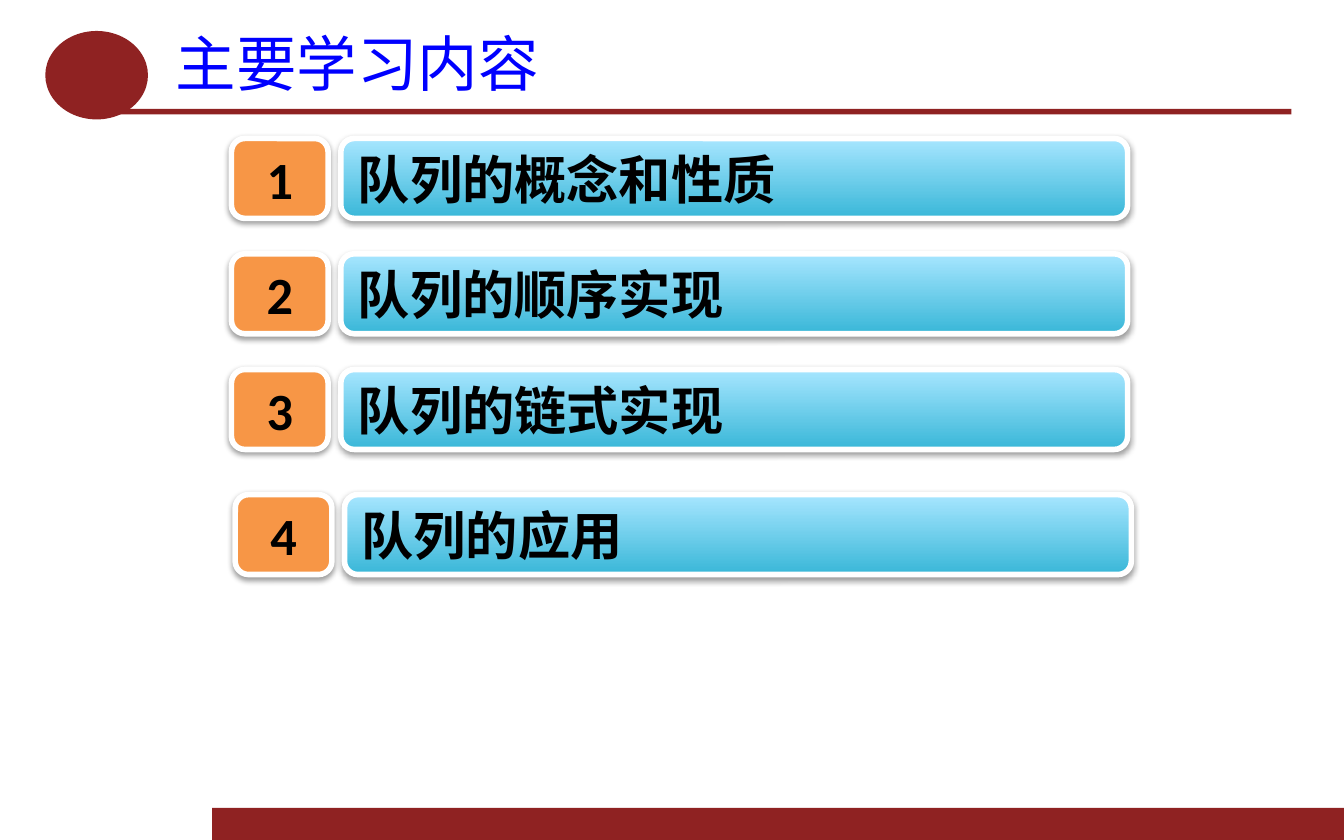
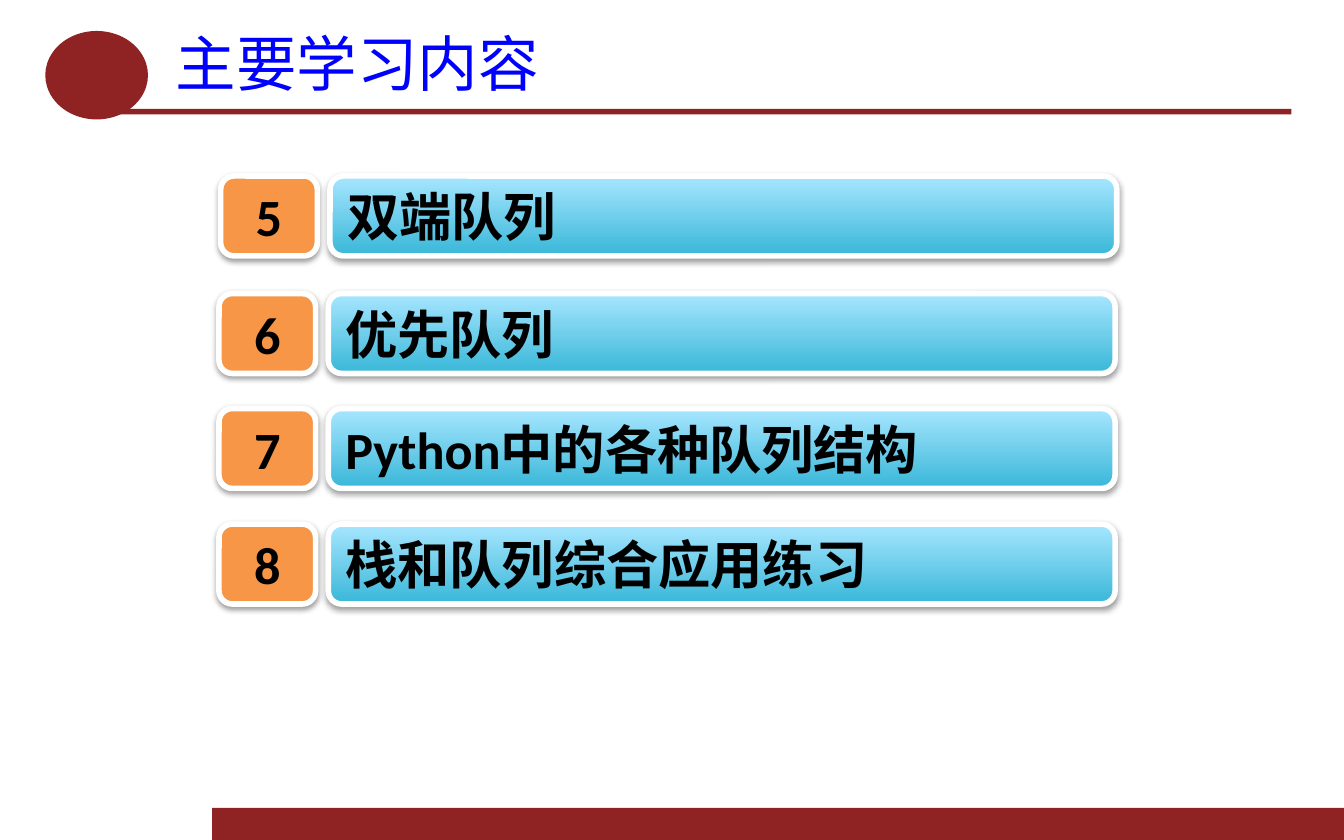
from lxml.etree import SubElement
from pptx import Presentation
from pptx.dml.color import RGBColor
from pptx.enum.shapes import MSO_SHAPE as Shape
from pptx.enum.text import MSO_ANCHOR as Anchor, PP_ALIGN as Align
from pptx.oxml.ns import qn
from pptx.util import Pt

# Content: each row is (left, top, number, topic), lengths in points
TITLE = "主要学习内容"
PAGES = [
    [
        (124, 74.2, "1", "队列的概念和性质"),
        (124, 136, "2", "队列的顺序实现"),
        (124, 198, "3", "队列的链式实现"),
        (126, 265, "4", "队列的应用"),
    ],
    [
        (118.2, 94.3, "5", "双端队列"),
        (117.3, 157.3, "6", "优先队列"),
        (117.3, 218.9, "7", "Python中的各种队列结构"),
        (117.3, 280.8, "8", "栈和队列综合应用练习"),
    ],
]

# Style
CRIMSON = RGBColor(0x8F, 0x22, 0x22)
BLUE = RGBColor(0x00, 0x00, 0xFF)
ORANGE = RGBColor(0xF7, 0x96, 0x46)
DEEP_SKY = RGBColor(0x39, 0xB7, 0xD8)
PALE_SKY = RGBColor(0xA7, 0xE6, 0xFF)
BLACK = RGBColor(0x00, 0x00, 0x00)
WHITE = RGBColor(0xFF, 0xFF, 0xFF)
LATIN_FONT = "Calibri"
CHINESE_FONT = "Noto Sans CJK SC"

# Layout
PAGE_SIZE = (720, 450)
TITLE_BOX = (87.1, 12.2, 604, 42.5)
DECORATIONS = [
    (Shape.RECTANGLE, (113.6, 432.8, 606.4, 17.2)),
    (Shape.RECTANGLE, (64, 58.3, 627.8, 3)),
    (Shape.OVAL, (24.3, 16.6, 55, 47.4)),
]
NUMBER_WIDTH, TOPIC_WIDTH, ROW_HEIGHT = 51.8, 421.5, 42.8
TOPIC_OFFSET = 58.6


def write(shape, text, font_name, size, color, align, bold=False):
    frame = shape.text_frame
    frame.word_wrap = True
    frame.vertical_anchor = Anchor.MIDDLE
    frame.text = text
    para = frame.paragraphs[0]
    para.alignment = align
    span = para.runs[0]
    span.font.size = Pt(size)
    span.font.bold = bold
    span.font.color.rgb = color
    span.font.name = font_name
    SubElement(span.font._element, qn("a:ea"), typeface=CHINESE_FONT)


def add_plain(page, kind, area):
    shape = page.shapes.add_shape(kind, *map(Pt, area))
    shape.shadow.inherit = False
    shape.fill.solid()
    shape.fill.fore_color.rgb = CRIMSON
    shape.line.fill.background()


def add_tile(page, area, text, align):
    """Rounded tile with a white rim and a soft shadow below."""
    tile = page.shapes.add_shape(Shape.ROUNDED_RECTANGLE, *map(Pt, area))
    tile.line.color.rgb = WHITE
    tile.line.width = Pt(3)
    tile.shadow.inherit = False
    effects = tile._element.spPr.find(qn("a:effectLst"))
    shadow = SubElement(effects, qn("a:outerShdw"), blurRad=str(Pt(3.1)),
                        dist=str(Pt(1.6)), dir="5400000", rotWithShape="0")
    shade = SubElement(shadow, qn("a:srgbClr"), val=str(BLACK))
    SubElement(shade, qn("a:alpha"), val="38000")
    write(tile, text, LATIN_FONT, 28, BLACK, align, bold=True)
    return tile


def add_row(page, left, top, number, topic):
    tile = add_tile(page, (left, top, NUMBER_WIDTH, ROW_HEIGHT), number, Align.CENTER)
    tile.fill.solid()
    tile.fill.fore_color.rgb = ORANGE

    bar = add_tile(page, (left + TOPIC_OFFSET, top, TOPIC_WIDTH, ROW_HEIGHT),
                   topic, Align.JUSTIFY)
    bar.fill.gradient()
    bar.fill.gradient_angle = 90
    for stop, position, color in zip(bar.fill.gradient_stops, (0, 1), (DEEP_SKY, PALE_SKY)):
        stop.position = position
        stop.color.rgb = color


def add_page(deck, rows):
    page = deck.slides.add_slide(deck.slide_layouts[6])
    # Shared bands and title
    for kind, area in DECORATIONS:
        add_plain(page, kind, area)
    box = page.shapes.add_textbox(*map(Pt, TITLE_BOX))
    write(box, TITLE, CHINESE_FONT, 32.4, BLUE, Align.JUSTIFY)
    # Numbered topics
    for row in rows:
        add_row(page, *row)


def main():
    deck = Presentation()
    deck.slide_width, deck.slide_height = map(Pt, PAGE_SIZE)
    for rows in PAGES:
        add_page(deck, rows)
    deck.save("out.pptx")


if __name__ == "__main__":
    main()
